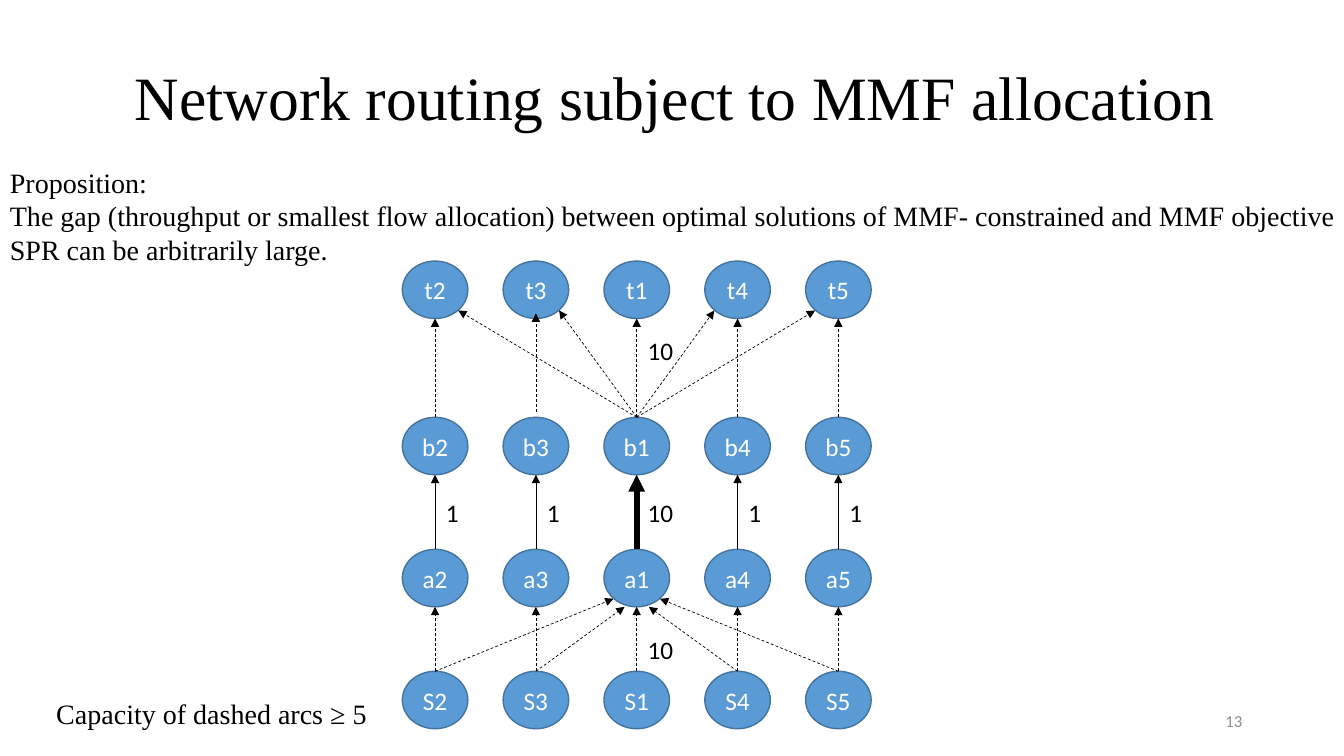
from collections import namedtuple
from dataclasses import dataclass

from lxml.etree import SubElement
from pptx import Presentation
from pptx.dml.color import RGBColor
from pptx.enum.dml import MSO_LINE
from pptx.enum.shapes import MSO_CONNECTOR, MSO_SHAPE
from pptx.enum.text import MSO_ANCHOR, PP_ALIGN
from pptx.oxml.ns import qn
from pptx.util import Inches, Pt

Box = namedtuple("Box", "left top width height")


@dataclass(frozen=True)
class Theme:
    ink: RGBColor = RGBColor(0, 0, 0)
    pale: RGBColor = RGBColor(0x8C, 0x8C, 0x8C)
    node: RGBColor = RGBColor(0x5B, 0x9B, 0xD5)
    edge: RGBColor = RGBColor(0x43, 0x73, 0x9E)
    white: RGBColor = RGBColor(255, 255, 255)
    serif: str = "Times New Roman"
    sans: str = "Calibri"
    title: int = 44
    body: int = 20
    label: int = 18
    small: int = 12
    thin: float = 0.5
    rim: float = 1
    thick: float = 4


THEME = Theme()
NODE = (0.65, 0.57)
PITCH = 1
ORDER = (2, 3, 1, 4, 5)
HUB = ORDER.index(1)
LEVELS = {"t": 0, "b": 1.55, "a": 2.86, "S": 4.07}


def style(para, size, face, color, align=PP_ALIGN.LEFT):
    para.alignment = align
    para.font.size = Pt(size)
    para.font.name = face
    para.font.color.rgb = color


def write(slide, box, text, size, face, color=THEME.ink,
          align=PP_ALIGN.LEFT, anchor=MSO_ANCHOR.TOP, wrap=True):
    frame = slide.shapes.add_textbox(*map(Inches, box)).text_frame
    frame.word_wrap = wrap
    frame.vertical_anchor = anchor
    frame.text = text
    for para in frame.paragraphs:
        style(para, size, face, color, align)
    return frame


def add_node(slide, box, text):
    oval = slide.shapes.add_shape(MSO_SHAPE.OVAL, *map(Inches, box))
    oval.shadow.inherit = False
    oval.fill.solid()
    oval.fill.fore_color.rgb = THEME.node
    oval.line.color.rgb = THEME.edge
    oval.line.width = Pt(THEME.rim)
    frame = oval.text_frame
    frame.word_wrap = False
    frame.vertical_anchor = MSO_ANCHOR.MIDDLE
    frame.text = text
    style(frame.paragraphs[0], THEME.label, THEME.sans, THEME.white, PP_ALIGN.CENTER)


def add_arc(slide, start, end, width=THEME.thin, dashed=True):
    arc = slide.shapes.add_connector(
        MSO_CONNECTOR.STRAIGHT, *map(Inches, (*start, *end)))
    arc.line.color.rgb = THEME.ink
    arc.line.width = Pt(width)
    if dashed:
        arc.line.dash_style = MSO_LINE.DASH
    SubElement(arc.line._get_or_add_ln(), qn("a:tailEnd"), type="triangle")
    SubElement(arc._element.spPr, qn("a:effectLst"))


def add_graph(slide, box):
    wide, high = NODE
    mids = [box.left + wide / 2 + i * PITCH for i in range(len(ORDER))]
    tops = {name: box.top + drop for name, drop in LEVELS.items()}
    hub = mids[HUB]

    for name, top in tops.items():
        for mid, number in zip(mids, ORDER):
            add_node(slide, Box(mid - wide / 2, top, wide, high), f"{name}{number}")

    for low, up in (("a", "b"), ("S", "a"), ("b", "t")):
        for i, mid in enumerate(mids):
            solid = low == "a"
            width = THEME.thick if solid and i == HUB else THEME.thin
            rise = 0.05 if low == "b" and ORDER[i] == 3 else 0
            add_arc(slide, (mid, tops[low] - rise),
                    (mid, tops[up] + high - rise), width, not solid)

    for i, mid in enumerate(mids):
        if i == HUB:
            continue
        side = 1 if i > HUB else -1
        far = abs(i - HUB) > 1
        reach, depth = (0.23, 0.49) if far else (0.12, high)
        add_arc(slide, (mid, tops["S"]), (hub + side * reach, tops["a"] + depth))
        add_arc(slide, (hub, tops["b"]), (mid - side * 0.23, tops["t"] + 0.49))

    tags = [(mid, 2.29, "10" if i == HUB else "1") for i, mid in enumerate(mids)]
    tags += [(hub, 0.69, "10"), (hub, 3.65, "10")]
    for left, drop, text in tags:
        write(slide, Box(left + 0.01, box.top + drop, 0.46, 0.4), text,
              THEME.label, THEME.sans, wrap=False)


def add_title(slide, box):
    frame = write(slide, box, "Network routing subject to MMF allocation",
                  THEME.title, THEME.serif, anchor=MSO_ANCHOR.MIDDLE)
    frame.paragraphs[0].line_spacing = 0.9


def add_claim(slide, box):
    write(slide, box,
          "Proposition:\nThe gap (throughput or smallest flow allocation) between "
          "optimal solutions of MMF- constrained and MMF objective SPR can be "
          "arbitrarily large.", THEME.body, THEME.serif)


def add_note(slide, box):
    write(slide, box, "Capacity of dashed arcs ≥ 5",
          THEME.body, THEME.serif, wrap=False)


def add_page(slide, box):
    write(slide, box, "13", THEME.small, THEME.sans, THEME.pale,
          PP_ALIGN.RIGHT, MSO_ANCHOR.MIDDLE)


def main():
    deck = Presentation()
    deck.slide_width = Inches(13.33)
    deck.slide_height = Inches(7.5)
    slide = deck.slides.add_slide(deck.slide_layouts[6])
    add_title(slide, Box(1.24, 0.27, 11.5, 1.45))
    add_page(slide, Box(9.42, 6.95, 3, 0.4))
    add_graph(slide, Box(3.99, 2.59, 4.65, 4.64))
    add_claim(slide, Box(0, 1.59, 13.47, 1.11))
    add_note(slide, Box(0.46, 6.86, 3.3, 0.44))
    deck.save("out.pptx")


if __name__ == "__main__":
    main()
